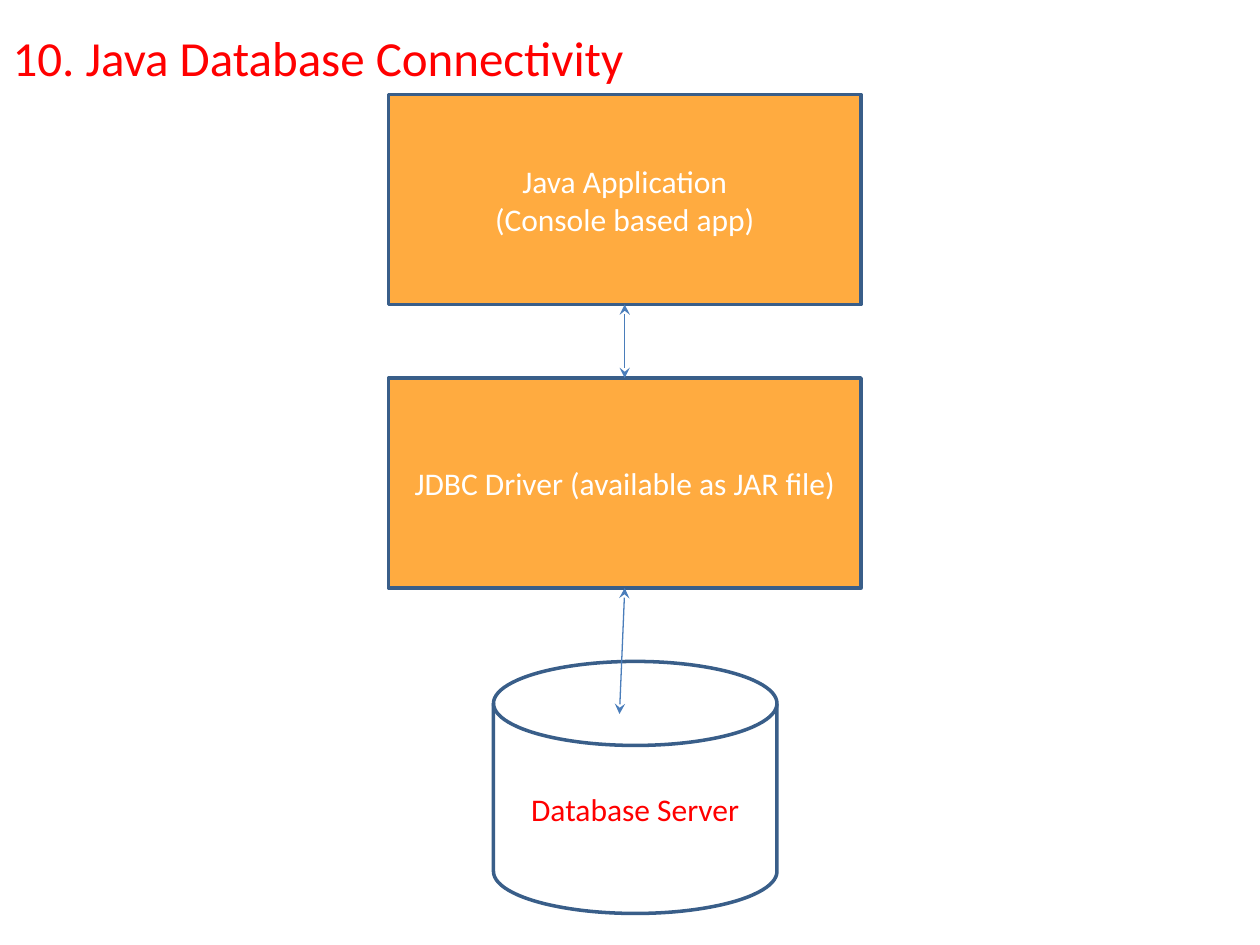
"""Builds a slide showing how a Java application reaches a database through JDBC."""
from pptx import Presentation
from pptx.dml.color import RGBColor
from pptx.enum.shapes import MSO_CONNECTOR, MSO_SHAPE
from pptx.enum.text import MSO_ANCHOR, MSO_AUTO_SIZE, PP_ALIGN
from pptx.oxml.ns import qn
from pptx.util import Inches, Pt
from lxml.etree import SubElement

COLORS = {"box": "FFAB40", "outline": "395E89", "arrow": "4A7DBA",
          "white": "FFFFFF", "red": "FF0000"}
FONT = "Calibri"
COLS_PER_INCH = 12
TOP, BOTTOM = 0, 2


def grid(n):
    """Return the length of n grid cells."""
    return Inches(n / COLS_PER_INCH)


def rgb(name):
    """Return a named colour."""
    return RGBColor.from_string(COLORS[name])


def set_text(tf, lines, size, color, align, anchor):
    """Fill a text frame with one formatted paragraph per line."""
    tf.word_wrap = True
    tf.auto_size = MSO_AUTO_SIZE.NONE
    tf.vertical_anchor = anchor
    for i, line in enumerate(lines):
        p = tf.paragraphs[0] if i == 0 else tf.add_paragraph()
        p.alignment = align
        r = p.add_run()
        r.text = line
        r.font.name = FONT
        r.font.size = Pt(size)
        r.font.color.rgb = rgb(color)


def add_title(s, text, col, row, cols, rows):
    """Move the title placeholder to its cells and fill it."""
    sp = s.shapes.title
    sp.left, sp.top, sp.width, sp.height = map(grid, (col, row, cols, rows))
    set_text(sp.text_frame, [text], 28, "red", PP_ALIGN.LEFT, MSO_ANCHOR.TOP)


def add_node(s, kind, lines, col, row, cols, rows, fill, color):
    """Add an outlined shape with centred text."""
    sp = s.shapes.add_shape(kind, *map(grid, (col, row, cols, rows)))
    sp.shadow.inherit = False
    if fill:
        sp.fill.solid()
        sp.fill.fore_color.rgb = rgb(fill)
    else:
        sp.fill.background()
    sp.line.color.rgb = rgb("outline")
    sp.line.width = Pt(2)
    set_text(sp.text_frame, lines, 18, color, PP_ALIGN.CENTER, MSO_ANCHOR.MIDDLE)
    return sp


def add_arrow(s, source, col, row, target=None):
    """Add a double arrow from the bottom of source to a grid point or target's top."""
    cxn = s.shapes.add_connector(MSO_CONNECTOR.STRAIGHT, 0, 0, grid(col), grid(row))
    cxn.begin_connect(source, BOTTOM)
    if target is not None:
        cxn.end_connect(target, TOP)
    cxn.line.color.rgb = rgb("arrow")
    cxn.line.width = Pt(0.75)
    ln = cxn.line._get_or_add_ln()
    for end in ("a:headEnd", "a:tailEnd"):
        SubElement(ln, qn(end), type="stealth")
    SubElement(cxn._element.spPr, qn("a:effectLst"))


def main():
    """Build and save the slide."""
    prs = Presentation()
    prs.slide_width, prs.slide_height = Inches(10), Inches(7.5)
    s = prs.slides.add_slide(prs.slide_layouts[5])
    add_title(s, "10. Java Database Connectivity", 0, 2, 78, 7)
    app = add_node(s, MSO_SHAPE.RECTANGLE,
                   ["Java Application", "(Console based app)"],
                   37, 9, 45, 20, "box", "white")
    driver = add_node(s, MSO_SHAPE.RECTANGLE,
                      ["JDBC Driver (available as JAR file)"],
                      37, 36, 45, 20, "box", "white")
    add_node(s, MSO_SHAPE.FLOWCHART_MAGNETIC_DISK, ["Database Server"],
             47, 63, 27, 24, None, "red")
    add_arrow(s, app, 59.5, 36, driver)
    add_arrow(s, driver, 59, 68)
    prs.save("out.pptx")


if __name__ == "__main__":
    main()
